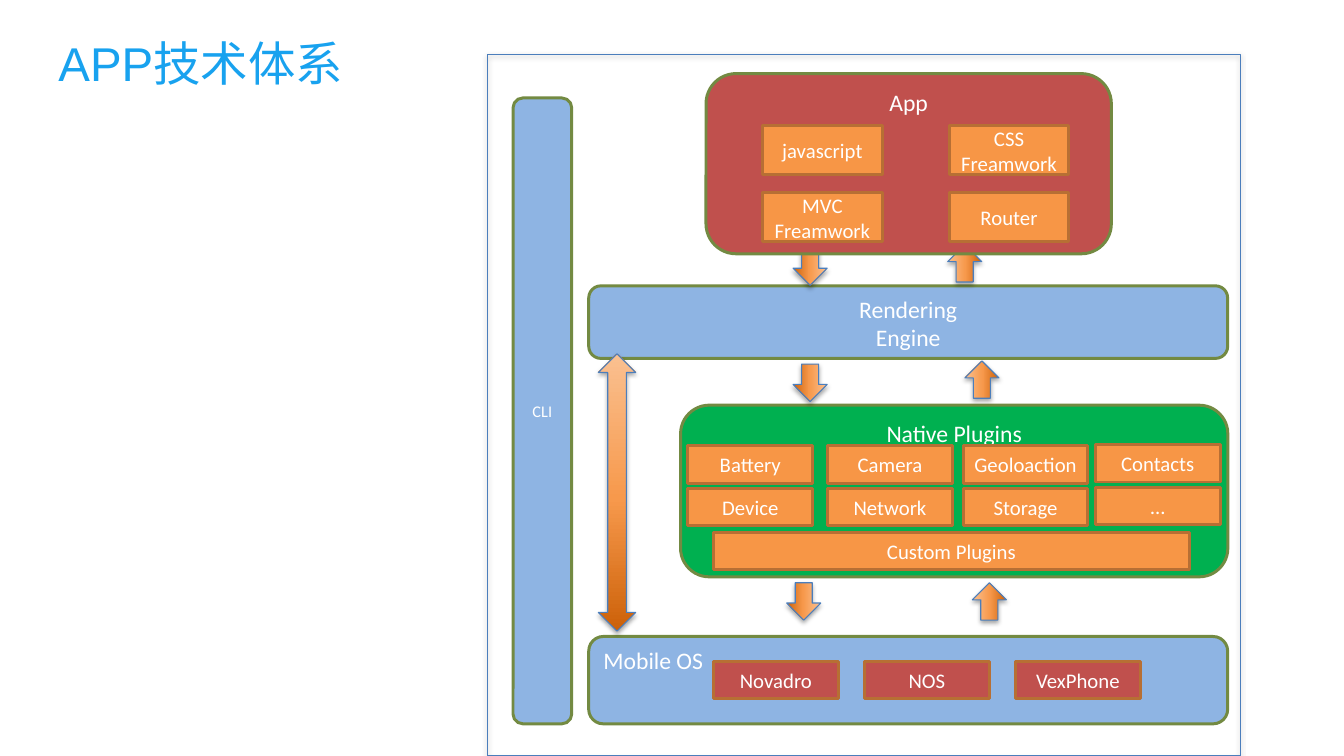
"""Build the APP technology stack slide."""
from dataclasses import dataclass
from itertools import product

from lxml import etree
from pptx import Presentation
from pptx import util as u
from pptx.dml.color import RGBColor
from pptx.enum import shapes, text
from pptx.oxml import ns
from pptx.shapes.autoshape import Shape
from pptx.slide import Slide

COLORS = {
    "title": "18A2EF", "white": "FFFFFF", "blue": "8EB4E3", "red": "C0504D",
    "green": "00B050", "orange": "F79646", "olive": "738A42", "brown": "B76F34",
    "outline": "4B7EBC", "shadow": "000000",
}
ARROW_STOPS = ((0, "CC6109"), (48, "F7994C"), (100, "FAC090"))
Kind = shapes.MSO_SHAPE
Align = text.PP_ALIGN
Anchor = text.MSO_ANCHOR


@dataclass(frozen=True)
class Panel:
    label: str
    left: float
    top: float
    width: float
    height: float
    fill: str
    size: float = 16
    align: Align = Align.CENTER
    anchor: Anchor = Anchor.TOP
    kind: Kind = Kind.ROUNDED_RECTANGLE
    line: str = "olive"


@dataclass(frozen=True)
class Arrow:
    left: float
    top: float
    rotation: float = 0
    height: float = 23
    kind: Kind = Kind.RIGHT_ARROW


def module(label: str, left: float, top: float, width: float = 84.2,
           height: float = 25.2, fill: str = "orange") -> Panel:
    return Panel(label, left, top, width, height, fill, 14, anchor=Anchor.MIDDLE,
                 kind=Kind.RECTANGLE, line="brown")


def color(name: str) -> RGBColor:
    return RGBColor.from_string(COLORS[name])


def write(shape: Shape, label: str, size: float, font: str, ink: str,
          align: Align, anchor: Anchor) -> None:
    frame = shape.text_frame
    frame.text = label
    frame.word_wrap = True
    frame.vertical_anchor = anchor
    for paragraph in frame.paragraphs:
        paragraph.alignment = align
        for run in paragraph.runs:
            run.font.size = u.Pt(size)
            run.font.name = font
            run.font.color.rgb = color(ink)


def add_outlined(slide: Slide, kind: Kind, left: float, top: float, width: float,
                 height: float, line: str, weight: float) -> Shape:
    shape = slide.shapes.add_shape(kind, u.Pt(left), u.Pt(top), u.Pt(width), u.Pt(height))
    shape.shadow.inherit = False
    shape.line.color.rgb = color(line)
    shape.line.width = u.Pt(weight)
    return shape


def add_shadow(shape: Shape) -> None:
    effects = shape._element.spPr.find(ns.qn("a:effectLst"))
    shadow = etree.SubElement(effects, ns.qn("a:outerShdw"), blurRad=str(u.Pt(3.1)),
                              dist=str(u.Pt(1.8)), dir="5400000", rotWithShape="0")
    shade = etree.SubElement(shadow, ns.qn("a:srgbClr"), val=COLORS["shadow"])
    etree.SubElement(shade, ns.qn("a:alpha"), val="35000")


def add_panel(slide: Slide, panel: Panel) -> None:
    shape = add_outlined(slide, panel.kind, panel.left, panel.top, panel.width,
                         panel.height, panel.line, 2)
    shape.fill.solid()
    shape.fill.fore_color.rgb = color(panel.fill)
    write(shape, panel.label, panel.size, "Calibri", "white", panel.align, panel.anchor)


def add_arrow(slide: Slide, arrow: Arrow) -> None:
    shape = add_outlined(slide, arrow.kind, arrow.left, arrow.top, 25.2, arrow.height,
                         "outline", 0.75)
    shape.rotation = arrow.rotation
    shape.fill.gradient()
    shape.fill.gradient_angle = 90
    stops = shape._element.spPr.find(ns.qn("a:gradFill")).find(ns.qn("a:gsLst"))
    for stop in list(stops):
        stops.remove(stop)
    for position, value in ARROW_STOPS:
        stop = etree.SubElement(stops, ns.qn("a:gs"), pos=str(position * 1000))
        etree.SubElement(stop, ns.qn("a:srgbClr"), val=value)
    add_shadow(shape)


def add_title(slide: Slide) -> None:
    box = slide.shapes.add_textbox(u.Pt(32.4), u.Pt(19.4), u.Pt(208.1), u.Pt(40.3))
    write(box, "APP技术体系", 32, "Arial", "title", Align.LEFT, Anchor.TOP)


def add_frame(slide: Slide) -> None:
    frame = add_outlined(slide, Kind.RECTANGLE, 329, 36.7, 508.3, 473.8, "outline", 0.75)
    frame.fill.background()
    add_shadow(frame)


SYSTEMS = ("Novadro", "NOS", "VexPhone")
PLUGINS = ("Battery", "Camera", "Geoloaction", "Contacts",
           "Device", "Network", "Storage", "…")
APP_PARTS = ("javascript", "CSS Freamwork", "MVC Freamwork", "Router")
PLUGIN_COLUMNS = ((464.4, 0), (558.7, 0), (650.2, 0), (739.4, -0.7))

LOWER_PANELS = [
    Panel("Rendering\nEngine", 397.4, 193, 431.3, 49, "blue"),
    Panel("Mobile OS", 397.4, 429.8, 431.3, 59, "blue", align=Align.LEFT),
    *(module(name, 481.7 + 101.9 * index, 446.4, fill="red")
      for index, name in enumerate(SYSTEMS)),
    Panel("Native Plugins", 459.4, 273.6, 369.4, 115.9, "green"),
    *(module(name, left, top + shift) for name, (top, (left, shift))
      in zip(PLUGINS, product((301, 329.8), PLUGIN_COLUMNS))),
    module("Custom Plugins", 481.7, 359.3, 321.1),
]
DOWN, UP = 90, 270
ARROWS = [
    Arrow(529.9, 394.6, DOWN), Arrow(655.2, 394.6, UP),
    Arrow(534.2, 168.5, DOWN), Arrow(638.6, 166.3, UP),
    Arrow(534.2, 247, DOWN), Arrow(650.2, 244.8, UP),
    Arrow(403.9, 239, height=187.2, kind=Kind.UP_DOWN_ARROW),
]
UPPER_PANELS = [
    Panel("CLI", 346.3, 66.2, 39.6, 422.6, "blue", 11, anchor=Anchor.MIDDLE),
    Panel("App", 476.6, 49.7, 273.6, 121.7, "red"),
    *(module(name, left, top, 80.6, 33.1) for name, (top, left)
      in zip(APP_PARTS, product((85, 130.3), (514.8, 640.8)))),
]


def main() -> None:
    presentation = Presentation()
    presentation.slide_width = u.Pt(907.2)
    presentation.slide_height = u.Pt(510.48)
    slide = presentation.slides.add_slide(presentation.slide_layouts[6])
    add_title(slide)
    add_frame(slide)
    for panel in LOWER_PANELS:
        add_panel(slide, panel)
    for arrow in ARROWS:
        add_arrow(slide, arrow)
    for panel in UPPER_PANELS:
        add_panel(slide, panel)
    presentation.save("out.pptx")


if __name__ == "__main__":
    main()
